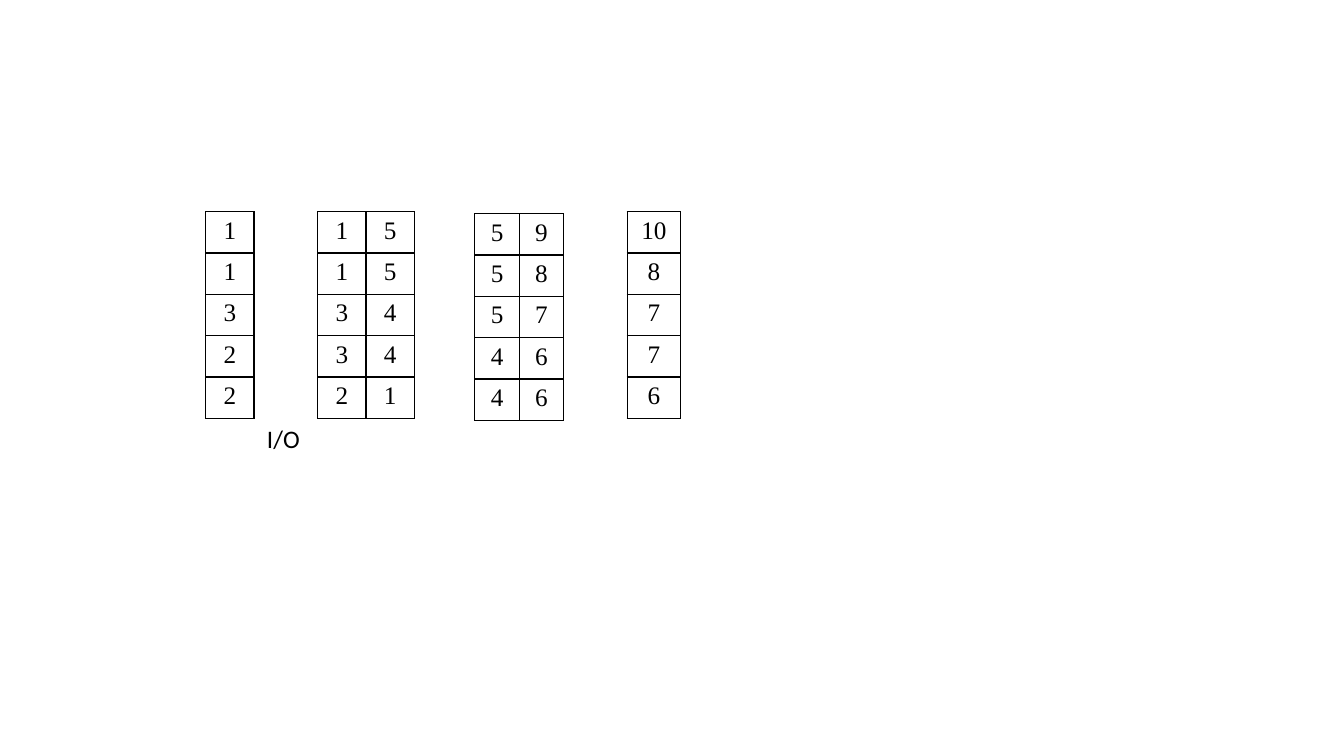
from dataclasses import dataclass

from lxml.etree import SubElement
from pptx import Presentation
from pptx.dml.color import RGBColor
from pptx.enum.text import MSO_AUTO_SIZE, PP_ALIGN
from pptx.oxml.ns import qn
from pptx.slide import Slide
from pptx.table import _Cell as Cell
from pptx.util import Inches, Pt

COLORS = {"ink": "000000"}
INK = RGBColor.from_string(COLORS["ink"])
ROW_HEIGHT = 0.41
BORDER_WIDTH = Pt(1)


@dataclass
class NumberTable:
    left: float
    top: float
    col_width: float
    rows: list[tuple[int, ...]]


TABLES = [
    NumberTable(2.04, 2.1, 0.48, [(1,), (1,), (3,), (2,), (2,)]),
    NumberTable(3.15, 2.1, 0.48, [(1, 5), (1, 5), (3, 4), (3, 4), (2, 1)]),
    NumberTable(4.71, 2.12, 0.44, [(5, 9), (5, 8), (5, 7), (4, 6), (4, 6)]),
    NumberTable(6.22, 2.1, 0.53, [(10,), (8,), (7,), (7,), (6,)]),
]


def add_borders(cell: Cell) -> None:
    props = cell._tc.get_or_add_tcPr()
    for side in ("lnL", "lnR", "lnT", "lnB"):
        line = SubElement(props, qn(f"a:{side}"), w=str(BORDER_WIDTH))
        fill = SubElement(line, qn("a:solidFill"))
        SubElement(fill, qn("a:srgbClr"), val=COLORS["ink"])


def fill_cell(cell: Cell, value: int) -> None:
    add_borders(cell)
    cell.fill.background()
    p = cell.text_frame.paragraphs[0]
    p.text = str(value)
    p.alignment = PP_ALIGN.CENTER
    p.font.name = "Times New Roman"
    p.font.size = Pt(18)
    p.font.color.rgb = INK


def add_number_table(slide: Slide, spec_: NumberTable) -> None:
    n_rows, n_cols = len(spec_.rows), len(spec_.rows[0])
    table = slide.shapes.add_table(
        n_rows, n_cols, Inches(spec_.left), Inches(spec_.top),
        Inches(spec_.col_width * n_cols), Inches(ROW_HEIGHT * n_rows),
    ).table
    table.first_row = table.horz_banding = False
    for column in table.columns:
        column.width = Inches(spec_.col_width)
    for row, values in zip(table.rows, spec_.rows):
        row.height = Inches(ROW_HEIGHT)
        for cell, value in zip(row.cells, values):
            fill_cell(cell, value)


def add_label(slide: Slide, text: str) -> None:
    box = slide.shapes.add_textbox(Inches(2.55), Inches(4.15), Inches(0.53), Inches(0.4))
    tf = box.text_frame
    tf.word_wrap = False
    tf.auto_size = MSO_AUTO_SIZE.SHAPE_TO_FIT_TEXT
    p = tf.paragraphs[0]
    p.text = text
    p.font.name = "Calibri"
    p.font.size = Pt(18)
    p.font.color.rgb = INK


prs = Presentation()
prs.slide_width, prs.slide_height = Inches(13.33), Inches(7.5)
slide = prs.slides.add_slide(prs.slide_layouts[6])
for number_table in TABLES:
    add_number_table(slide, number_table)
add_label(slide, "I/O")
prs.save("out.pptx")
